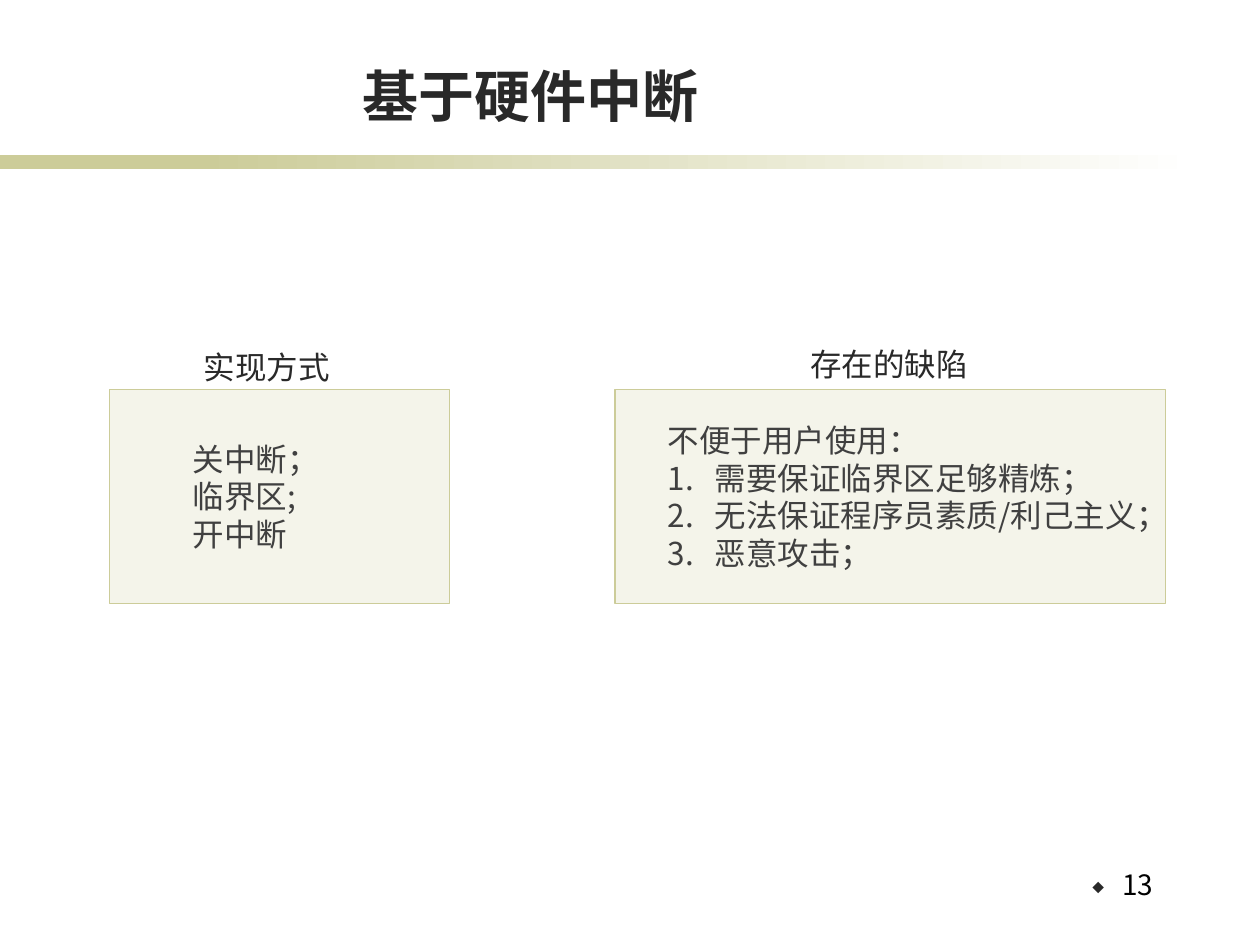
from lxml import etree
from pptx import Presentation
from pptx.dml.color import RGBColor
from pptx.enum.shapes import MSO_SHAPE
from pptx.enum.text import MSO_ANCHOR, MSO_AUTO_SIZE, PP_ALIGN
from pptx.oxml.ns import qn
from pptx.util import Pt

RECTANGLE, PROCESS = MSO_SHAPE.RECTANGLE, MSO_SHAPE.FLOWCHART_PROCESS
BOTTOM, TOP = MSO_ANCHOR.BOTTOM, MSO_ANCHOR.TOP
LEFT, CENTER, RIGHT = PP_ALIGN.LEFT, PP_ALIGN.CENTER, PP_ALIGN.RIGHT
NO_AUTO_SIZE, FIT_SHAPE = MSO_AUTO_SIZE.NONE, MSO_AUTO_SIZE.SHAPE_TO_FIT_TEXT

FONT = "Noto Sans CJK SC"
OLIVE, WHITE, INK, GREY, BLACK = "CCCC99", "FFFFFF", "292929", "404040", "000000"
BAND_TOP, BAND_HEIGHT = 88.6, 7.9
PANEL_TOP, PANEL_HEIGHT = 222.5, 122.4
HANGING_INDENT = 27

TITLE = ("基于硬件中断", (82, 31.7, 442, 45.4))
PAGE_NUMBER = ("13", (592.6, 494.6, 73.4, 36))
PANELS = [
    {
        "panel": (351.4, 314.6),
        "heading": ("存在的缺陷", (455.8, 193.7, 105.1, 28.8)),
        "body": (374.4, 236.9, 291.6, 94.3),
        "lines": ["不便于用户使用："],
        "numbered": ["需要保证临界区足够精炼；", "无法保证程序员素质/利己主义；", "恶意攻击；"],
    },
    {
        "panel": (62.6, 194.4),
        "heading": ("实现方式", (109.4, 195.1, 87.1, 28.8)),
        "body": (103, 247.7, 100.1, 72.7),
        "lines": ["关中断；", "临界区;", "开中断"],
        "numbered": [],
    },
]


def color(value):
    return RGBColor.from_string(value)


def apply(target, **values):
    for name, value in values.items():
        setattr(target, name, value)


def place(shape, box):
    names = ("left", "top", "width", "height")
    apply(shape, **dict(zip(names, map(Pt, box))))


def add_element(parent, tag, **attributes):
    return etree.SubElement(parent, qn(tag), **attributes)


def add_block(slide, kind, box):
    shape = slide.shapes.add_shape(kind, *map(Pt, box))
    shape.shadow.inherit = False
    shape.line.fill.background()
    shape.fill.solid()
    shape.fill.fore_color.rgb = color(OLIVE)
    return shape


def add_panel(slide, left, width):
    shape = add_block(slide, PROCESS, (left, PANEL_TOP, width, PANEL_HEIGHT))
    solid = shape.fill._xPr.find(qn("a:solidFill"))
    add_element(solid[0], "a:alpha", val="20000")
    shape.line.color.rgb = color(OLIVE)
    shape.line.width = Pt(0.75)


def write(paragraph, text, size, ink, align=LEFT, bold=False):
    paragraph.alignment = align
    run = paragraph.add_run()
    run.text = text
    apply(run.font, name=FONT, size=Pt(size), bold=bold)
    run.font.color.rgb = color(ink)
    add_element(run.font._element, "a:ea", typeface=FONT)


def add_text(slide, box, lines, size, ink, align=LEFT, wrap=True, auto_size=FIT_SHAPE):
    shape = slide.shapes.add_textbox(*map(Pt, box))
    frame = shape.text_frame
    apply(frame, word_wrap=wrap, auto_size=auto_size, vertical_anchor=TOP)
    for index, line in enumerate(lines):
        paragraph = frame.add_paragraph() if index else frame.paragraphs[0]
        write(paragraph, line, size, ink, align)
    return frame.paragraphs


def number(paragraph):
    properties = paragraph._p.get_or_add_pPr()
    properties.set("marL", str(Pt(HANGING_INDENT)))
    properties.set("indent", str(-Pt(HANGING_INDENT)))
    add_element(properties, "a:buFont", typeface="+mj-lt")
    add_element(properties, "a:buAutoNum", type="arabicPeriod")


def add_diamond(paragraph):
    properties = paragraph._p.get_or_add_pPr()
    bullet_color = add_element(properties, "a:buClr")
    add_element(bullet_color, "a:srgbClr", val=INK)
    add_element(properties, "a:buSzPct", val="60000")
    add_element(properties, "a:buFont", typeface=FONT)
    add_element(properties, "a:buChar", char="⬥")


def main():
    presentation = Presentation()
    apply(presentation, slide_width=Pt(720), slide_height=Pt(540))
    slide = presentation.slides.add_slide(presentation.slide_layouts[5])

    add_block(slide, RECTANGLE, (0, BAND_TOP, 167.8, BAND_HEIGHT))
    fade = add_block(slide, RECTANGLE, (113.8, BAND_TOP, 570.2, BAND_HEIGHT))
    fade.fill.gradient()
    fade.fill.gradient_angle = 0
    for stop, value, position in zip(fade.fill.gradient_stops, (OLIVE, WHITE), (0, 1)):
        stop.color.rgb = color(value)
        stop.position = position

    text, box = TITLE
    title = slide.shapes.title
    place(title, box)
    apply(title.text_frame, vertical_anchor=BOTTOM, word_wrap=True, auto_size=NO_AUTO_SIZE)
    write(title.text_frame.paragraphs[0], text, 32, INK, CENTER, bold=True)

    for panel in PANELS:
        add_panel(slide, *panel["panel"])
        heading, box = panel["heading"]
        add_text(slide, box, [heading], 18, INK, wrap=False)
        lines, numbered = panel["lines"], panel["numbered"]
        paragraphs = add_text(slide, panel["body"], lines + numbered, 18, GREY)
        for paragraph in paragraphs[len(lines):]:
            number(paragraph)

    text, box = PAGE_NUMBER
    page = add_text(slide, box, [text], 16, BLACK, RIGHT, auto_size=NO_AUTO_SIZE)[0]
    page.line_spacing = 0.9
    add_diamond(page)

    presentation.save("out.pptx")


if __name__ == "__main__":
    main()
